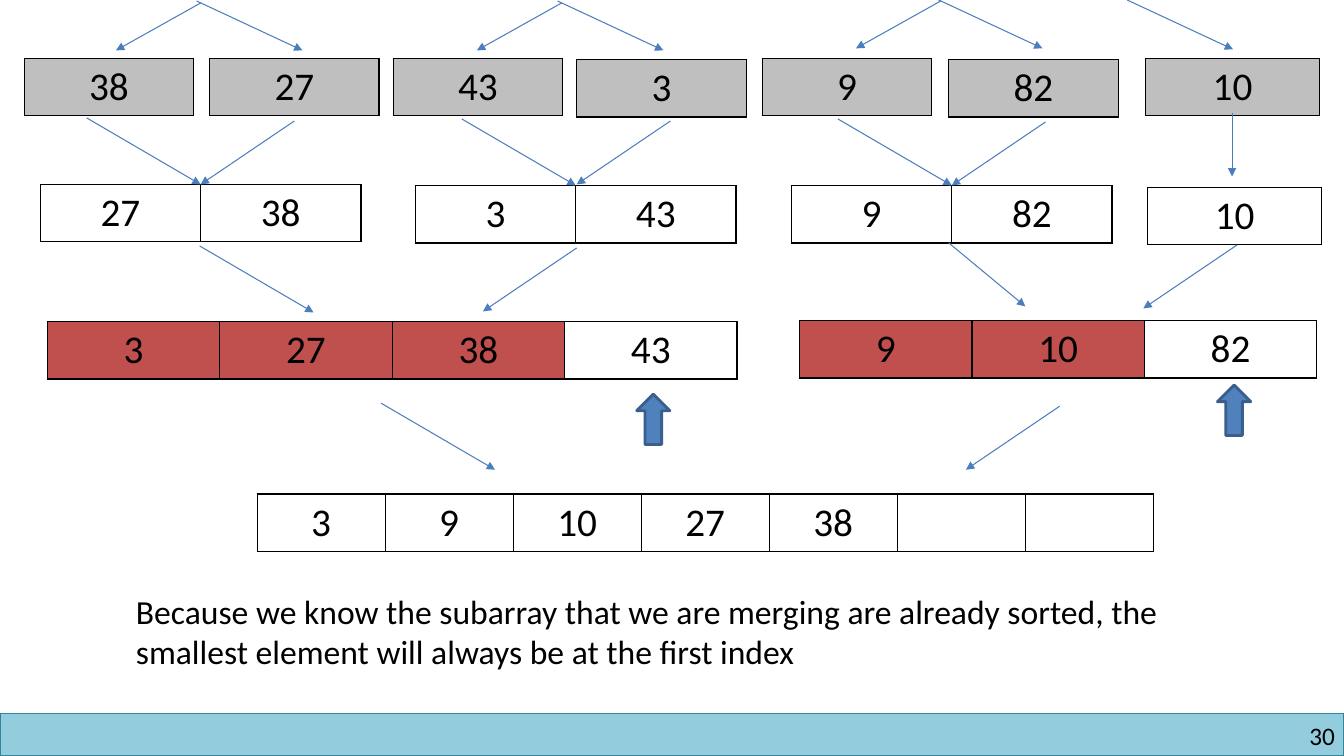
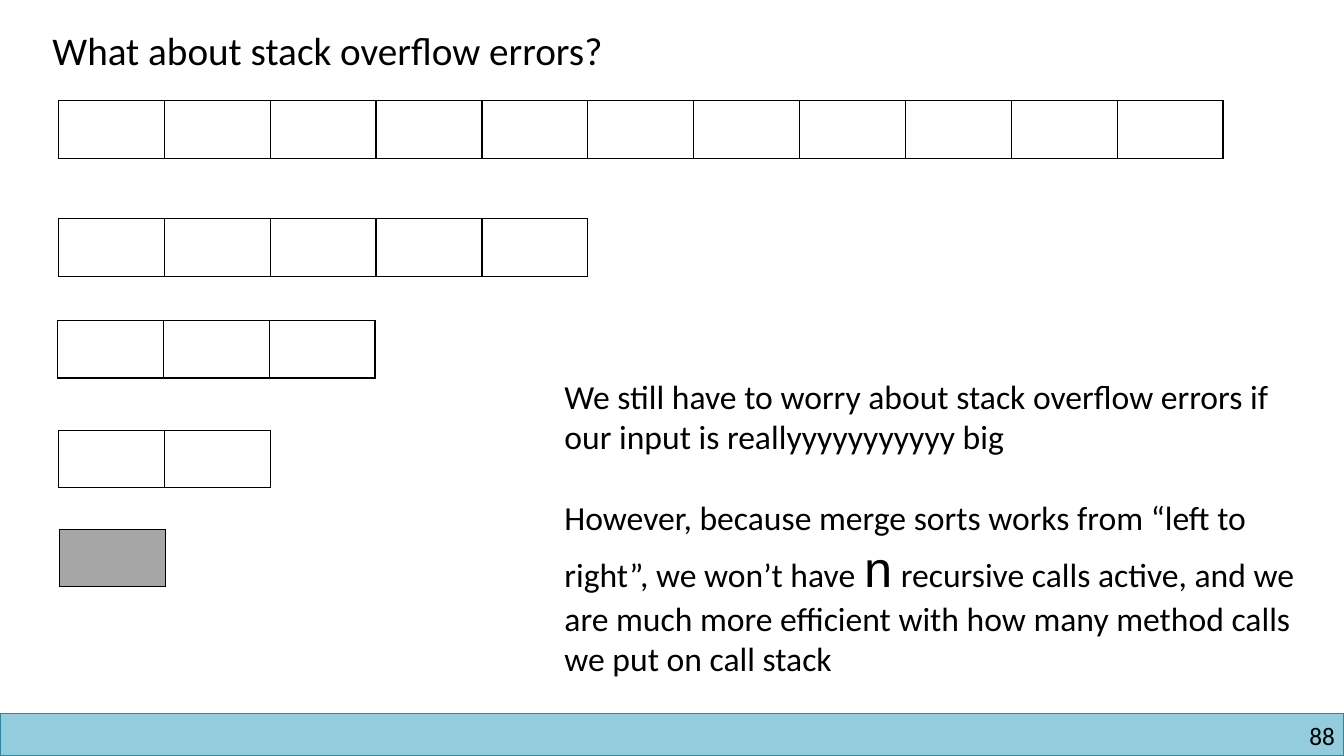
from dataclasses import dataclass

from lxml import etree
from pptx import Presentation
from pptx import util as u
from pptx.dml.color import RGBColor
from pptx.enum import shapes, text
from pptx.oxml import ns


@dataclass(frozen=True)
class Theme:
    font: str = "Calibri"
    code_font: str = "Courier New"
    ink: str = "000000"
    paper: str = "FFFFFF"
    band: str = "93CDDD"
    band_edge: str = "31859C"
    leaf: str = "BFBFBF"
    base_case: str = "A6A6A6"
    used: str = "C0504D"
    arrow: str = "4B7EBC"
    pointer: str = "4F81BD"
    pointer_edge: str = "3A5F8C"
    title_size: int = 28
    value_size: int = 28
    body_size: int = 24
    variable_size: int = 36
    number_size: int = 18


THEME = Theme()
CELL_HEIGHT = 0.57
STACK_CELL = 1.05
SPLIT_LEFT = (-0.84, 0.47)
SPLIT_RIGHT = (1.05, 0.49)
MERGE_RIGHT = (1.13, 0.66)
MERGE_LEFT = (-0.93, 0.63)
NO_MARGINS = dict.fromkeys(
    ("margin_left", "margin_top", "margin_right", "margin_bottom"), 0)


def colour(value):
    return RGBColor.from_string(value)


def set_values(target, values):
    for name, value in values.items():
        setattr(target, name, value)


def inches(*lengths):
    return [u.Inches(length) for length in lengths]


def style_font(font, size, name=THEME.font):
    set_values(font, {"name": name, "size": u.Pt(size), "bold": False})
    font.color.rgb = colour(THEME.ink)


def style_shape(shape, fill, edge, width):
    shape.shadow.inherit = False
    shape.fill.solid()
    shape.fill.fore_color.rgb = colour(fill)
    shape.line.color.rgb = colour(edge)
    shape.line.width = u.Pt(width)


def add_span(para, words, size, font=THEME.font):
    span = para.add_run()
    span.text = words
    style_font(span.font, size, font)


def add_text(page, place, paragraphs, gap=0, align=text.PP_ALIGN.LEFT, frame_values=None):
    box = page.shapes.add_textbox(*inches(*place))
    frame = box.text_frame
    set_values(frame, {"word_wrap": True, **(frame_values or {})})
    for index, spans in enumerate(paragraphs):
        para = frame.add_paragraph() if index else frame.paragraphs[0]
        para.alignment = align
        if index:
            para.space_before = u.Pt(gap)
        for span in spans:
            add_span(para, *span)


def add_title(page, words):
    title = page.shapes.title
    left, top, width, height = inches(0.42, 0.21, 6.17, 0.57)
    set_values(title, {"left": left, "top": top, "width": width, "height": height})
    set_values(title.text_frame, {
        "word_wrap": False,
        "auto_size": text.MSO_AUTO_SIZE.NONE,
        "vertical_anchor": text.MSO_ANCHOR.TOP,
    })
    para = title.text_frame.paragraphs[0]
    para.alignment = text.PP_ALIGN.LEFT
    add_span(para, words, THEME.title_size)


def add_footer(page, number):
    band = page.shapes.add_shape(
        shapes.MSO_SHAPE.RECTANGLE, *inches(0, 7.08, 13.33, 0.42))
    style_shape(band, THEME.band, THEME.band_edge, 1)
    add_text(page, (10.17, 7.15, 3.07, 0.3), [[(number, THEME.number_size)]],
             align=text.PP_ALIGN.RIGHT, frame_values=NO_MARGINS)


def add_borders(cell):
    properties = cell._tc.get_or_add_tcPr()
    for index, side in enumerate(("lnL", "lnR", "lnT", "lnB")):
        line = etree.Element(ns.qn(f"a:{side}"), w=str(u.Pt(1)))
        fill = etree.SubElement(line, ns.qn("a:solidFill"))
        etree.SubElement(fill, ns.qn("a:srgbClr"), val=THEME.ink)
        properties.insert(index, line)


def add_array(page, left, top, cell_width, values, fill=THEME.paper, used=0):
    count = len(values)
    frame = page.shapes.add_table(
        1, count, *inches(left, top, cell_width * count, CELL_HEIGHT))
    table = frame.table
    set_values(table, {"first_row": False, "horz_banding": False})
    for index, value in enumerate(values):
        table.columns[index].width = u.Inches(cell_width)
        cell = table.cell(0, index)
        cell.fill.solid()
        cell.fill.fore_color.rgb = colour(THEME.used if index < used else fill)
        add_borders(cell)
        if value:
            para = cell.text_frame.paragraphs[0]
            para.alignment = text.PP_ALIGN.CENTER
            add_span(para, value, THEME.value_size)


def add_arrow(page, start, step):
    x, y = start
    arrow = page.shapes.add_connector(
        shapes.MSO_CONNECTOR.STRAIGHT, *inches(x, y, x + step[0], y + step[1]))
    arrow.line.color.rgb = colour(THEME.arrow)
    arrow.line.width = u.Pt(0.75)
    etree.SubElement(arrow.line._get_or_add_ln(), ns.qn("a:tailEnd"), type="triangle")
    etree.SubElement(arrow._element.spPr, ns.qn("a:effectLst"))


def add_pointer(page, centre, top):
    width, height = 0.33, 0.5
    pointer = page.shapes.add_shape(
        shapes.MSO_SHAPE.UP_ARROW, *inches(centre - width / 2, top, width, height))
    style_shape(pointer, THEME.pointer, THEME.pointer_edge, 2)


def build_merge_page(deck):
    page = deck.slides.add_slide(deck.slide_layouts[6])
    add_footer(page, "30")

    leaves = [
        (0.24, 0.58, 1.68, "38"), (2.08, 0.58, 1.68, "27"),
        (3.9, 0.58, 1.68, "43"), (5.72, 0.59, 1.68, "3"),
        (7.56, 0.58, 1.68, "9"), (9.41, 0.59, 1.68, "82"),
        (11.36, 0.58, 1.73, "10"),
    ]
    for left, top, width, value in leaves:
        add_array(page, left, top, width, [value], THEME.leaf)

    merged = [
        (0.4, 1.83, 1.59, ["27", "38"], 0),
        (4.12, 1.84, 1.59, ["3", "43"], 0),
        (7.85, 1.84, 1.59, ["9", "82"], 0),
        (11.38, 1.86, 1.73, ["10"], 0),
        (0.47, 3.19, 1.71, ["3", "27", "38", "43"], 3),
        (7.93, 3.18, 1.71, ["9", "10", "82"], 2),
        (2.55, 4.9, 1.27, ["3", "9", "10", "27", "38", "", ""], 0),
    ]
    for left, top, width, values, used in merged:
        add_array(page, left, top, width, values, used=used)

    arrow_starts = {
        SPLIT_LEFT: [(1.99, 0.03), (5.57, 0.03), (9.33, 0.01)],
        SPLIT_RIGHT: [(1.95, 0.01), (5.53, 0.01), (9.29, -0.01), (11.18, 0)],
        MERGE_RIGHT: [(0.86, 1.17), (4.58, 1.18), (8.31, 1.18), (1.98, 2.44), (3.78, 4)],
        MERGE_LEFT: [(2.92, 1.2), (6.65, 1.2), (10.37, 1.21),
                     (5.72, 2.46), (12.27, 2.43), (10.51, 4.03)],
        (0, 0.63): [(12.22, 1.12)],
        (0.76, 0.63): [(9.41, 2.41)],
    }
    for step, starts in arrow_starts.items():
        for start in starts:
            add_arrow(page, start, step)

    add_text(page, (1.25, 5.81, 10.84, 0.91), [[(
        "Because we know the subarray that we are merging are already sorted, "
        "the smallest element will always be at the first index", THEME.body_size)]])
    add_pointer(page, 6.48, 3.91)
    add_pointer(page, 12.24, 3.82)


def build_stack_page(deck):
    page = deck.slides.add_slide(deck.slide_layouts[5])
    add_footer(page, "88")
    add_title(page, "What about stack overflow errors?")

    calls = [(0.58, 1, 11), (0.58, 2.17, 5), (0.57, 3.18, 3), (0.58, 4.27, 2), (0.59, 5.25, 1)]
    for left, top, count in calls:
        fill = THEME.base_case if count == 1 else THEME.paper
        add_array(page, left, top, STACK_CELL, [""] * count, fill)

    add_text(page, (5.5, 3.68, 7.61, 3.13), [
        [("We still have to worry about stack overflow errors if our input is "
          "reallyyyyyyyyyyy big", THEME.body_size)],
        [("However, because merge sorts works from “left to right”, we won’t have ",
          THEME.body_size),
         ("n", THEME.variable_size, THEME.code_font),
         (" recursive calls active, and we are much more efficient with how many "
          "method calls we put on call stack", THEME.body_size)],
    ], gap=29)


def main():
    deck = Presentation()
    set_values(deck, {"slide_width": u.Inches(13.33), "slide_height": u.Inches(7.5)})
    build_merge_page(deck)
    build_stack_page(deck)
    deck.save("out.pptx")


if __name__ == "__main__":
    main()
